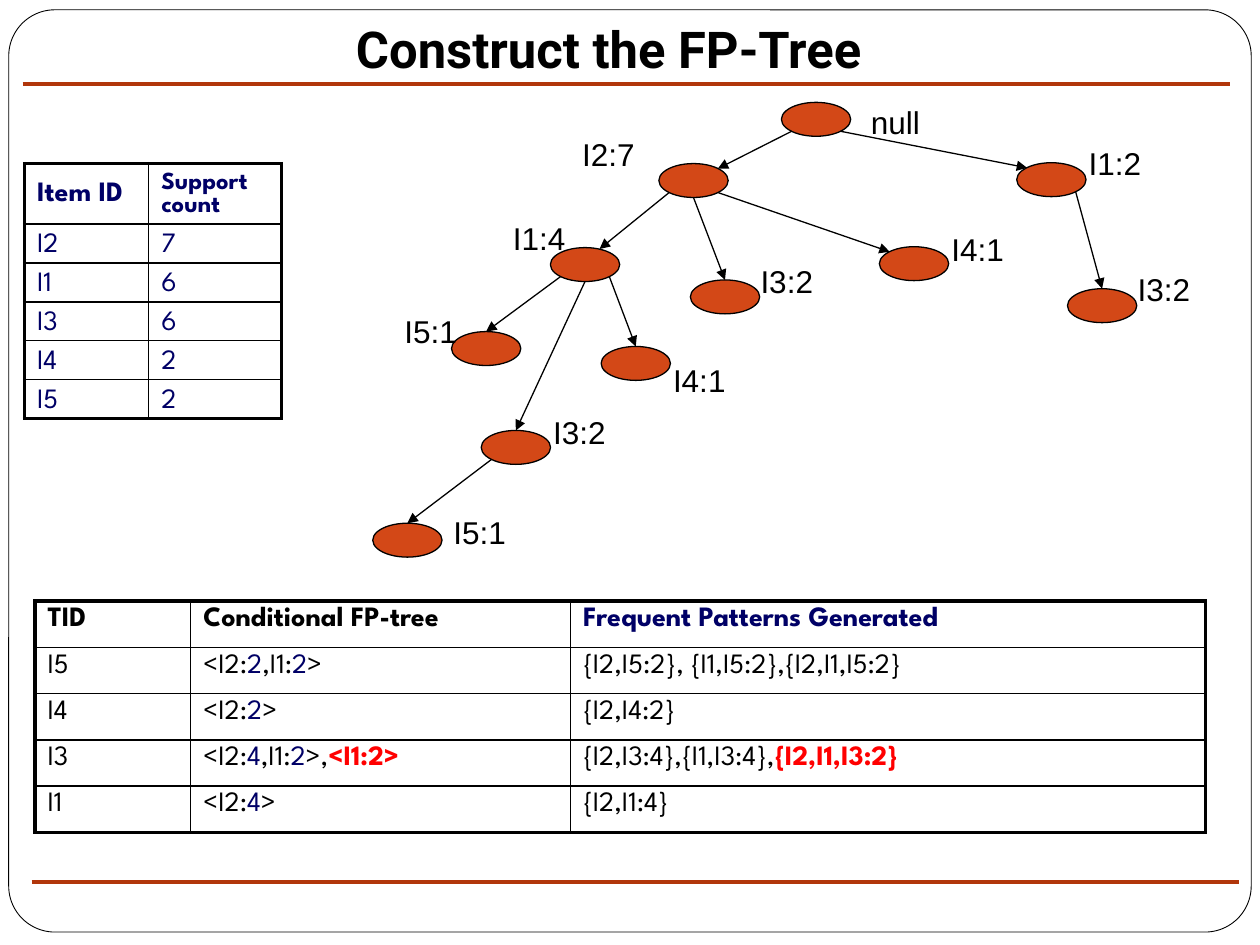
import pptx
import pptx.dml.color
import pptx.enum.shapes
import pptx.enum.text
import pptx.oxml
import pptx.oxml.ns
import pptx.util

Pt = pptx.util.Pt
Color = pptx.dml.color.RGBColor
Anchor = pptx.enum.text.MSO_ANCHOR
Align = pptx.enum.text.PP_ALIGN
Shape = pptx.enum.shapes.MSO_SHAPE
Link = pptx.enum.shapes.MSO_CONNECTOR

BLACK = Color(0, 0, 0)
WHITE = Color(255, 255, 255)
NAVY = Color(0, 0, 0x66)
RED = Color(255, 0, 0)
RUST = Color(0xD3, 0x48, 0x17)
BRICK = Color(0xB1, 0x36, 0x0B)

SITES = {
    "top": (0.5, 0),
    "base": (0.5, 1),
    "upper left": (0.15, 0.15),
    "upper right": (0.85, 0.15),
    "near top": (0.71, 0.04),
    "lower left": (0.15, 0.85),
    "lower right": (0.85, 0.85),
}


class Board:
    serif = "League Spartan"
    plain = "Arial"
    head = "Roboto"
    node_w, node_h = 39.6, 19.4

    def __init__(self, slide):
        self.slide = slide
        self.shapes = slide.shapes

    def style(self, run, name, size, color=BLACK, bold=False):
        run.font.name = name
        run.font.size = Pt(size)
        run.font.color.rgb = color
        run.font.bold = bold

    def shape(self, kind, x, y, w, h, fill, width):
        item = self.shapes.add_shape(kind, Pt(x), Pt(y), Pt(w), Pt(h))
        item.shadow.inherit = False
        item.fill.solid()
        item.fill.fore_color.rgb = fill
        item.line.color.rgb = BLACK
        item.line.width = Pt(width)
        return item

    def title(self, text, x, y, w, h):
        box = self.shapes.add_textbox(Pt(x), Pt(y), Pt(w), Pt(h))
        frame = box.text_frame
        frame.word_wrap = True
        frame.vertical_anchor = Anchor.BOTTOM
        frame.margin_bottom = Pt(7.2)
        frame.text = text
        para = frame.paragraphs[0]
        para.alignment = Align.CENTER
        self.style(para.runs[0], self.head, 29, bold=True)

    def label(self, text, x, y):
        box = self.shapes.add_textbox(Pt(x), Pt(y), Pt(44.6), Pt(29))
        box.text_frame.word_wrap = False
        box.text_frame.text = text
        self.style(box.text_frame.paragraphs[0].runs[0], self.plain, 18)

    def node(self, x, y):
        return self.shape(Shape.OVAL, x, y, self.node_w, self.node_h, RUST, 0.75)

    def line(self, x, y, right, low, color, width):
        item = self.shapes.add_connector(
            Link.STRAIGHT, Pt(x), Pt(y), Pt(right), Pt(low))
        item.line.color.rgb = color
        item.line.width = Pt(width)
        props = item._element.spPr
        props.append(pptx.oxml.parse_xml(
            f'<a:effectLst {pptx.oxml.ns.nsdecls("a")}/>'))
        return item

    def point(self, node, site):
        across, down = SITES[site]
        return node.left.pt + across * node.width.pt, node.top.pt + down * node.height.pt

    def arrow(self, start, leave, end, reach):
        item = self.line(*self.point(start, leave), *self.point(end, reach), BLACK, 0.75)
        item.line._get_or_add_ln().append(pptx.oxml.parse_xml(
            f'<a:tailEnd {pptx.oxml.ns.nsdecls("a")} type="triangle"/>'))
        if reach == "top":
            item.end_connect(end, 0)

    def edge(self, cell, side, width):
        cell._tc.get_or_add_tcPr().append(pptx.oxml.parse_xml(
            f'<a:ln{side} {pptx.oxml.ns.nsdecls("a")} w="{Pt(width)}">'
            f'<a:solidFill><a:srgbClr val="{BLACK}"/></a:solidFill></a:ln{side}>'))

    def table(self, x, y, cols, tall, pads, low, anchor, rows):
        grid = self.shapes.add_table(
            len(rows), len(cols), Pt(x), Pt(y), Pt(sum(cols)), Pt(sum(tall))).table
        grid.first_row = grid.horz_banding = False
        for col, width in zip(grid.columns, cols):
            col.width = Pt(width)
        for r, row in enumerate(rows):
            grid.rows[r].height = Pt(tall[r])
            for c, parts in enumerate(row):
                cell = grid.cell(r, c)
                cell.margin_top, cell.margin_bottom = Pt(pads[r]), Pt(low)
                cell.vertical_anchor = anchor
                outer = {"L": c == 0, "R": c == len(cols) - 1,
                         "T": r == 0, "B": r == len(rows) - 1}
                for side, rim in outer.items():
                    self.edge(cell, side, 2.25 if rim else 1)
                cell.fill.background()
                para = cell.text_frame.paragraphs[0]
                for text, color, bold, size in parts:
                    run = para.add_run()
                    run.text = text
                    self.style(run, self.serif, size, color, bold)


def part(text, color=BLACK, bold=False, size=16):
    return text, color, bold, size


def path_of(*pairs):
    parts = [part("<")]
    for n, (item, count) in enumerate(pairs):
        parts[-1:] = [part(("," if n else "<") + item + ":")] if not n else [
            part("," + item + ":")]
        parts += [part(count, NAVY), part(">")]
    return parts


def main():
    deck = pptx.Presentation()
    deck.slide_width, deck.slide_height = Pt(720), Pt(540)
    board = Board(deck.slides.add_slide(deck.slide_layouts[6]))

    frame = board.shape(Shape.ROUNDED_RECTANGLE, 5, 5.6, 710, 527, WHITE, 0.5)
    frame.adjustments[0] = 0.05
    board.title("Construct the FP-Tree", 24, 15, 648, 37)

    counts = [("I2", "7"), ("I1", "6"), ("I3", "6"), ("I4", "2"), ("I5", "2")]
    items = [[[part("Item ID", NAVY, True)], [part("Support count", NAVY, True, 14)]]]
    items += [[[part(text, NAVY)] for text in pair] for pair in counts]
    board.table(14, 93.5, [71, 76], [34.6] + [22.2] * 5, [1] + [3] * 5, 0,
                Anchor.MIDDLE, items)

    spots = {
        "root": ("null", 446.5, 58.5, 490.5, 55.5),
        "left": ("I2:7", 376.5, 93.5, 325.5, 73.5),
        "right": ("I1:2", 581, 93, 615, 79),
        "inner": ("I1:4", 314.5, 141.5, 286, 121.5),
        "mid": ("I3:2", 394.5, 160, 427.5, 146),
        "far": ("I4:1", 502.5, 141, 536.5, 128),
        "end": ("I3:2", 610, 165, 643, 151),
        "west": ("I5:1", 258, 189.5, 224, 175),
        "east": ("I4:1", 343.5, 198, 377.5, 202.5),
        "low": ("I3:2", 275, 246, 309, 232.5),
        "leaf": ("I5:1", 213, 299, 252, 289.5),
    }
    nodes = {}
    for key, (text, x, y, left, top) in spots.items():
        nodes[key] = board.node(x, y)
        board.label(text, left, top)

    for start, leave, end, reach in [
        ("root", "lower left", "left", "upper right"),
        ("root", "lower right", "right", "upper left"),
        ("left", "lower left", "inner", "near top"),
        ("left", "base", "mid", "top"),
        ("left", "lower right", "far", "upper left"),
        ("right", "lower right", "end", "top"),
        ("inner", "lower left", "west", "top"),
        ("inner", "base", "low", "top"),
        ("inner", "lower right", "east", "top"),
        ("low", "lower left", "leaf", "top"),
    ]:
        board.arrow(nodes[start], leave, nodes[end], reach)

    rules = [
        [[part("TID", bold=True)], [part("Conditional FP-tree", bold=True)],
         [part("Frequent Patterns Generated", NAVY, True)]],
        [[part("I5")], path_of(("I2", "2"), ("I1", "2")),
         [part("{I2,I5:2}, {I1,I5:2},{I2,I1,I5:2}")]],
        [[part("I4")], path_of(("I2", "2")), [part("{I2,I4:2}")]],
        [[part("I3")],
         path_of(("I2", "4"), ("I1", "2"))[:-1] + [part(">,"), part("<I1:2>", RED, True)],
         [part("{I2,I3:4},{I1,I3:4},"), part("{I2,I1,I3:2}", RED, True)]],
        [[part("I1")], path_of(("I2", "4")), [part("{I2,I1:4}")]],
    ]
    board.table(20, 343.5, [89, 217, 363], [26.4] * 5, [3.6] * 5, 3.6,
                Anchor.TOP, rules)

    for x, y in [(13, 48), (18, 504)]:
        board.line(x, y, x + 690, y, BRICK, 2.25)

    deck.save("out.pptx")


if __name__ == "__main__":
    main()
